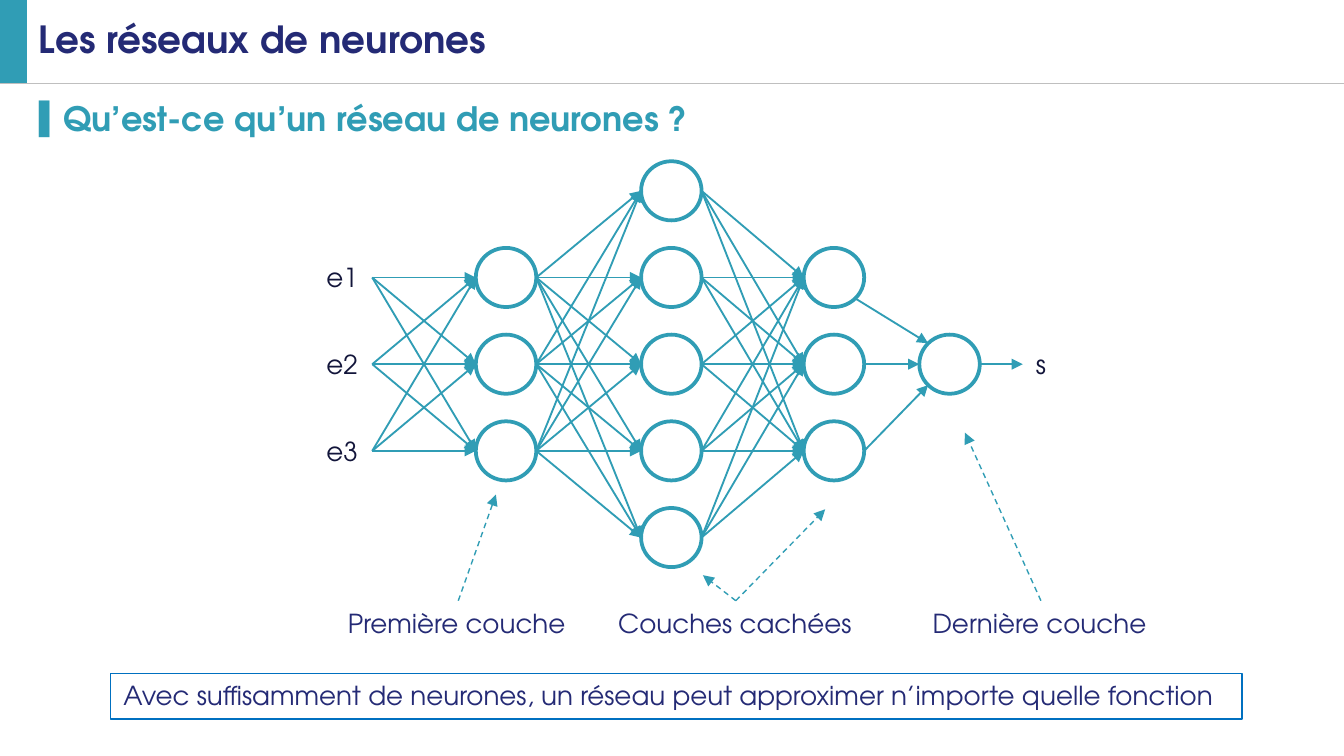
"""Build a slide that explains the layers of a neural network."""
from itertools import product
from math import sqrt

from lxml.etree import SubElement
from pptx import Presentation
from pptx.dml.color import RGBColor
from pptx.enum.dml import MSO_LINE
from pptx.enum.shapes import MSO_CONNECTOR, MSO_SHAPE
from pptx.enum.text import MSO_ANCHOR, MSO_AUTO_SIZE, PP_ALIGN
from pptx.oxml.ns import qn
from pptx.util import Inches, Pt

WIDTH = 10
HEIGHT = WIDTH * 9 / 16
FONT, BULLET_FONT = "TeX Gyre Adventor", "Arial"
TEAL, NAVY, INK, GREY, BLUE = "309DB5", "242A75", "12153A", "BFBFBF", "0070C0"

TITLE = "Les réseaux de neurones"
QUESTION = "Qu’est-ce qu’un réseau de neurones ?"
CONCLUSION = "Avec suffisamment de neurones, un réseau peut approximer n’importe quelle fonction"

# Each layer: left edge, grid rows of its neurons, labels that replace the circles
LAYERS = [
    (2.32, (1, 2, 3), ("e1", "e2", "e3")),
    (3.54, (1, 2, 3), ()),
    (4.77, (0, 1, 2, 3, 4), ()),
    (5.98, (1, 2, 3), ()),
    (6.84, (2,), ()),
    (7.52, (2,), ("s",)),
]
# Each caption: text, left edge, width, points its dashed arrows reach
CAPTIONS = [
    ("Première couche", 2.49, 1.84, [(3.69, 3.68)]),
    ("Couches cachées", 4.5, 1.95, [(5.23, 4.28), (6.14, 3.79)]),
    ("Dernière couche", 6.84, 1.81, [(7.18, 3.22)]),
]
NEURON_W, NEURON_H = 0.45, 0.44
FIRST_ROW, LAST_ROW = 1.2, 3.78
ROW_STEP = (LAST_ROW - FIRST_ROW) / 4
CAPTION_TOP, CAPTION_H = 4.47, 0.34
BAR_W, HEADER_H, MARGIN = 0.2, 0.62, 0.29


def rgb(color):
    return RGBColor.from_string(color)


def box(left, top, width, height):
    return [Inches(value) for value in (left, top, width, height)]


def write(frame, text, size=14, color=NAVY, bold=False, align=PP_ALIGN.LEFT,
          anchor=MSO_ANCHOR.TOP, inset=None, wrap=True, fit=MSO_AUTO_SIZE.NONE):
    frame.word_wrap, frame.auto_size, frame.vertical_anchor = wrap, fit, anchor
    if inset is not None:
        frame.margin_left = frame.margin_right = Inches(inset)
        frame.margin_top = frame.margin_bottom = Inches(inset)
    paragraph = frame.paragraphs[0]
    paragraph.alignment = align
    run = paragraph.add_run()
    run.text = text
    run.font.name, run.font.size, run.font.bold = FONT, Pt(size), bold
    run.font.color.rgb = rgb(color)
    return paragraph


def add_bullet(paragraph, char, color, percent, indent):
    properties = paragraph._p.get_or_add_pPr()
    properties.set("marL", str(Inches(indent)))
    properties.set("indent", str(-Inches(indent)))
    bullet_color = SubElement(properties, qn("a:buClr"))
    SubElement(bullet_color, qn("a:srgbClr"), val=color)
    SubElement(properties, qn("a:buSzPct"), val=str(percent * 1000))
    SubElement(properties, qn("a:buFont"), typeface=BULLET_FONT)
    SubElement(properties, qn("a:buChar"), char=char)


def add_line(shapes, start, end, color=TEAL, width=1, dashed=False, arrow=True):
    line = shapes.add_connector(MSO_CONNECTOR.STRAIGHT, *map(Inches, start + end))
    line.line.color.rgb, line.line.width = rgb(color), Pt(width)
    if dashed:
        line.line.dash_style = MSO_LINE.DASH
    if arrow:
        SubElement(line.line._get_or_add_ln(), qn("a:tailEnd"), type="triangle")
    SubElement(line._element.spPr, qn("a:effectLst"))
    return line


def add_shape(shapes, kind, place, fill=None, line=None, width=2):
    shape = shapes.add_shape(kind, *box(*place))
    shape.shadow.inherit = False
    if fill:
        shape.fill.solid()
        shape.fill.fore_color.rgb = rgb(fill)
    else:
        shape.fill.background()
    if line:
        shape.line.color.rgb, shape.line.width = rgb(line), Pt(width)
    else:
        shape.line.fill.background()
    return shape


def row_top(row):
    return FIRST_ROW + row * ROW_STEP


def rim(layer, row, across, down=0):
    """Point on a neuron's rim in the given direction from its centre."""
    reach = sqrt(across ** 2 + down ** 2)
    return (LAYERS[layer][0] + NEURON_W / 2 * (1 + across / reach),
            row_top(row) + NEURON_H / 2 * (1 + down / reach))


def add_header(slide):
    add_shape(slide.shapes, MSO_SHAPE.RECTANGLE, (0, 0, BAR_W, HEADER_H), fill=TEAL)
    add_line(slide.shapes, (0, HEADER_H), (WIDTH, HEADER_H), GREY, 0.75, arrow=False)
    title, body = slide.placeholders
    content_w = WIDTH - MARGIN - 0.22
    title.left, title.top, title.width, title.height = box(MARGIN, 0, content_w, 0.61)
    body.left, body.top, body.width, body.height = box(MARGIN, 0.73, content_w, 4.66)
    heading = write(title.text_frame, TITLE, size=20, bold=True,
                    anchor=MSO_ANCHOR.MIDDLE, inset=0)
    heading.line_spacing = 0.9
    question = write(body.text_frame, QUESTION, size=18, color=TEAL, bold=True, inset=0)
    question.space_before, question.space_after = Pt(0), Pt(5.2)
    add_bullet(question, "▌", TEAL, 90, 0.18)


def add_network(shapes):
    for left, rows, labels in LAYERS:
        for index, row in enumerate(rows):
            neuron = add_shape(shapes, MSO_SHAPE.OVAL,
                               (left, row_top(row), NEURON_W, NEURON_H),
                               line=None if labels else TEAL)
            if labels:
                write(neuron.text_frame, labels[index], color=INK, inset=0,
                      align=PP_ALIGN.CENTER, anchor=MSO_ANCHOR.MIDDLE)
    for layer in range(3):
        for start, end in product(LAYERS[layer][1], LAYERS[layer + 1][1]):
            add_line(shapes, rim(layer, start, 1), rim(layer + 1, end, -1))
    add_line(shapes, rim(3, 1, 1, 1), rim(4, 2, -1, -1))
    add_line(shapes, rim(3, 2, 1), rim(4, 2, -1))
    add_line(shapes, rim(3, 3, 1), rim(4, 2, -1, 1))
    output = rim(4, 2, 1)
    add_line(shapes, output, (output[0] + 0.32, output[1]))


def add_captions(shapes):
    for text, left, width, targets in CAPTIONS:
        caption = shapes.add_textbox(*box(left, CAPTION_TOP, width, CAPTION_H))
        write(caption.text_frame, text, wrap=False, fit=MSO_AUTO_SIZE.SHAPE_TO_FIT_TEXT)
        for target in targets:
            pointer = add_line(shapes, (left + width / 2, CAPTION_TOP), target,
                               width=0.75, dashed=True)
            pointer.begin_connect(caption, 0)
    conclusion = shapes.add_textbox(*box(0.82, 5.01, 8.42, CAPTION_H))
    conclusion.line.color.rgb, conclusion.line.width = rgb(BLUE), Pt(0.75)
    write(conclusion.text_frame, CONCLUSION, wrap=False,
          fit=MSO_AUTO_SIZE.SHAPE_TO_FIT_TEXT)


def main():
    deck = Presentation()
    deck.slide_width, deck.slide_height = Inches(WIDTH), Inches(HEIGHT)
    slide = deck.slides.add_slide(deck.slide_layouts[1])
    add_header(slide)
    add_network(slide.shapes)
    add_captions(slide.shapes)
    deck.save("out.pptx")


if __name__ == "__main__":
    main()
